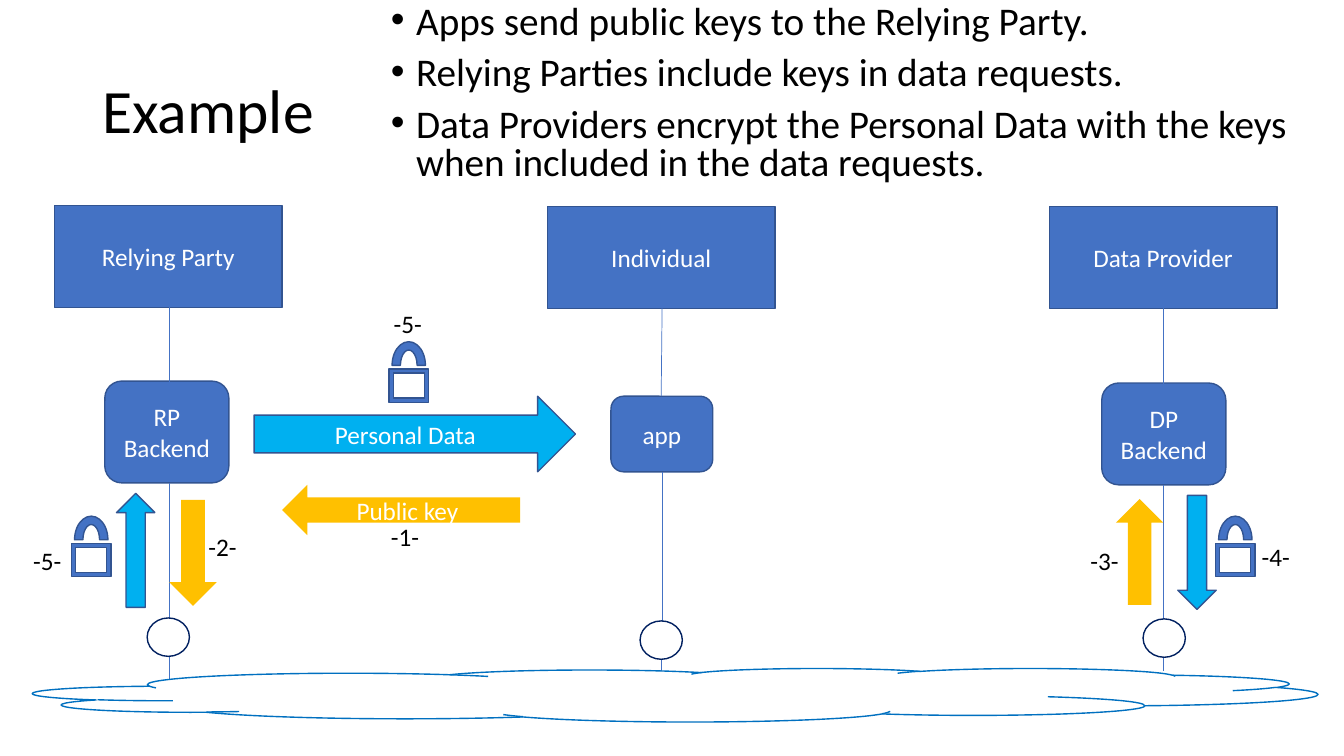
from dataclasses import dataclass

from lxml.etree import SubElement
from pptx import Presentation
from pptx.dml.color import RGBColor
from pptx.enum.shapes import MSO_CONNECTOR, MSO_SHAPE as Kind
from pptx.enum.text import MSO_ANCHOR as Anchor, PP_ALIGN as Align
from pptx.oxml.ns import qn
from pptx.util import Pt

COLOURS = {
    "blue": "4472C4", "edge": "325491", "sky": "00B0F0", "gold": "FFC000",
    "navy": "002060", "cloud": "0070C0", "white": "FFFFFF", "black": "000000",
}
FONT = "Calibri"


@dataclass
class Figure:
    kind: Kind
    left: float
    top: float
    width: float
    height: float
    fill: str = "blue"
    line: str | None = "edge"
    text: str = ""
    rotation: int = 0


@dataclass
class Link:
    x1: float
    y1: float
    x2: float
    y2: float


@dataclass
class Label:
    text: str
    left: float
    top: float
    align: Align = Align.LEFT


def colour(name: str) -> RGBColor:
    return RGBColor.from_string(COLOURS[name])


def style_text(para, size: float, name: str) -> None:
    para.font.name = FONT
    para.font.size = Pt(size)
    para.font.color.rgb = colour(name)


def draw_figure(page, figure: Figure) -> None:
    shape = page.shapes.add_shape(figure.kind, Pt(figure.left), Pt(figure.top),
                                  Pt(figure.width), Pt(figure.height))
    shape.shadow.inherit = False
    shape.rotation = figure.rotation
    shape.fill.solid()
    shape.fill.fore_color.rgb = colour(figure.fill)
    if figure.line:
        shape.line.color.rgb = colour(figure.line)
        shape.line.width = Pt(1)
    else:
        shape.line.fill.background()
    if figure.text:
        frame = shape.text_frame
        frame.word_wrap = True
        frame.vertical_anchor = Anchor.MIDDLE
        para = frame.paragraphs[0]
        para.text = figure.text
        para.alignment = Align.CENTER
        style_text(para, 18, "white")


def draw_link(page, link: Link) -> None:
    line = page.shapes.add_connector(MSO_CONNECTOR.STRAIGHT, Pt(link.x1), Pt(link.y1),
                                     Pt(link.x2), Pt(link.y2))
    line.line.color.rgb = colour("blue")
    line.line.width = Pt(0.5)
    SubElement(line._element.spPr, qn("a:effectLst"))


def add_text(page, left: float, top: float, width: float, height: float,
             lines: list[str], size: float):
    box = page.shapes.add_textbox(Pt(left), Pt(top), Pt(width), Pt(height))
    frame = box.text_frame
    frame.word_wrap = True
    frame.text = "\n".join(lines)
    for para in frame.paragraphs:
        style_text(para, size, "black")
    return frame


def draw_label(page, label: Label) -> None:
    frame = add_text(page, label.left, label.top, 44, 28.8, [label.text], 18)
    frame.paragraphs[0].alignment = label.align


def add_bullet(para) -> None:
    para.line_spacing = 0.8
    para.space_before = Pt(10)
    properties = para._p.get_or_add_pPr()
    properties.set("marL", str(Pt(18)))
    properties.set("indent", str(Pt(-18)))
    SubElement(properties, qn("a:buFont"), typeface="Arial")
    SubElement(properties, qn("a:buChar"), char="•")


def party(text: str, left: float, top: float) -> Figure:
    return Figure(Kind.RECTANGLE, left, top, 162.7, 72.7, text=text)


def backend(text: str, left: float, top: float) -> Figure:
    return Figure(Kind.ROUNDED_RECTANGLE, left, top, 88.6, 72.7, text=text)


def node(left: float, top: float) -> Figure:
    return Figure(Kind.OVAL, left, top, 30.2, 27.4, "white", "navy")


def key_arrow(left: float, top: float, rotation: int) -> Figure:
    return Figure(Kind.LEFT_ARROW, left, top, 75.6, 33.8, "gold", None, rotation=rotation)


def data_arrow(left: float, top: float, rotation: int) -> Figure:
    return Figure(Kind.RIGHT_ARROW, left, top, 81.4, 27.4, "sky", rotation=rotation)


def padlock(left: float, top: float) -> list[Figure]:
    return [Figure(Kind.FRAME, left, top, 28.1, 23.8),
            Figure(Kind.BLOCK_ARC, left + 2.2, top - 19.4, 23.8, 33.8)]


BULLETS = [
    "Apps send public keys to the Relying Party.",
    "Relying Parties include keys in data requests.",
    "Data Providers encrypt the Personal Data with the keys when included in the data requests.",
]
LINKS = [
    Link(121, 214.6, 121, 273.6), Link(121, 344.9, 121, 442.1), Link(121, 468, 121, 491.8),
    Link(473, 214.6, 472.3, 283), Link(473, 337, 473, 443.5), Link(472.3, 468, 472.3, 491.8),
    Link(830.9, 216.7, 830.9, 275.8), Link(830.9, 346.3, 830.9, 479.5),
]
ACTORS = [
    Figure(Kind.RIGHT_ARROW, 181.5, 283, 229.6, 54, "sky", text="Personal Data"),
    Figure(Kind.ROUNDED_RECTANGLE, 436.4, 283, 72.7, 54, text="app"),
    party("Individual", 391, 147.6),
    party("Relying Party", 38.9, 146.9),
    party("Data Provider", 749.5, 147.6),
    backend("RP Backend", 74.9, 272.2),
    backend("DP Backend", 787, 273.6),
]
FLOWS = [
    node(816.5, 442.1), node(105.1, 441.4), node(457.2, 443.5),
    Figure(Kind.CLOUD, 23.8, 477.4, 917.3, 38.2, "white", "cloud"),
    *padlock(277.9, 263.5),
    Figure(Kind.LEFT_ARROW, 201.6, 346.3, 169.9, 36, "gold", None, "Public key"),
    key_arrow(100.1, 378, 270), key_arrow(776.2, 377.3, 90),
    data_arrow(814.3, 380.9, 90), *padlock(868.3, 388.1),
    data_arrow(56.2, 379.4, 270), *padlock(51.1, 388.1),
]
LABELS = [
    Label("-1-", 272.2, 368.6), Label("-2-", 141.8, 375.8), Label("-3-", 771.8, 385.9),
    Label("-4-", 894.2, 383), Label("-5-", 16.6, 385.9),
    Label("-5-", 269.3, 216.7, Align.CENTER),
]

deck = Presentation()
deck.slide_width, deck.slide_height = Pt(960), Pt(540)
page = deck.slides.add_slide(deck.slide_layouts[6])

title = add_text(page, 66, 28.8, 828, 104.4, ["Example"], 44)
title.vertical_anchor = Anchor.MIDDLE
title.paragraphs[0].line_spacing = 0.9
for para in add_text(page, 272.2, 0, 676, 141, BULLETS, 28).paragraphs:
    add_bullet(para)

for figure in ACTORS:
    draw_figure(page, figure)
for link in LINKS:
    draw_link(page, link)
for figure in FLOWS:
    draw_figure(page, figure)
for label in LABELS:
    draw_label(page, label)

deck.save("out.pptx")
